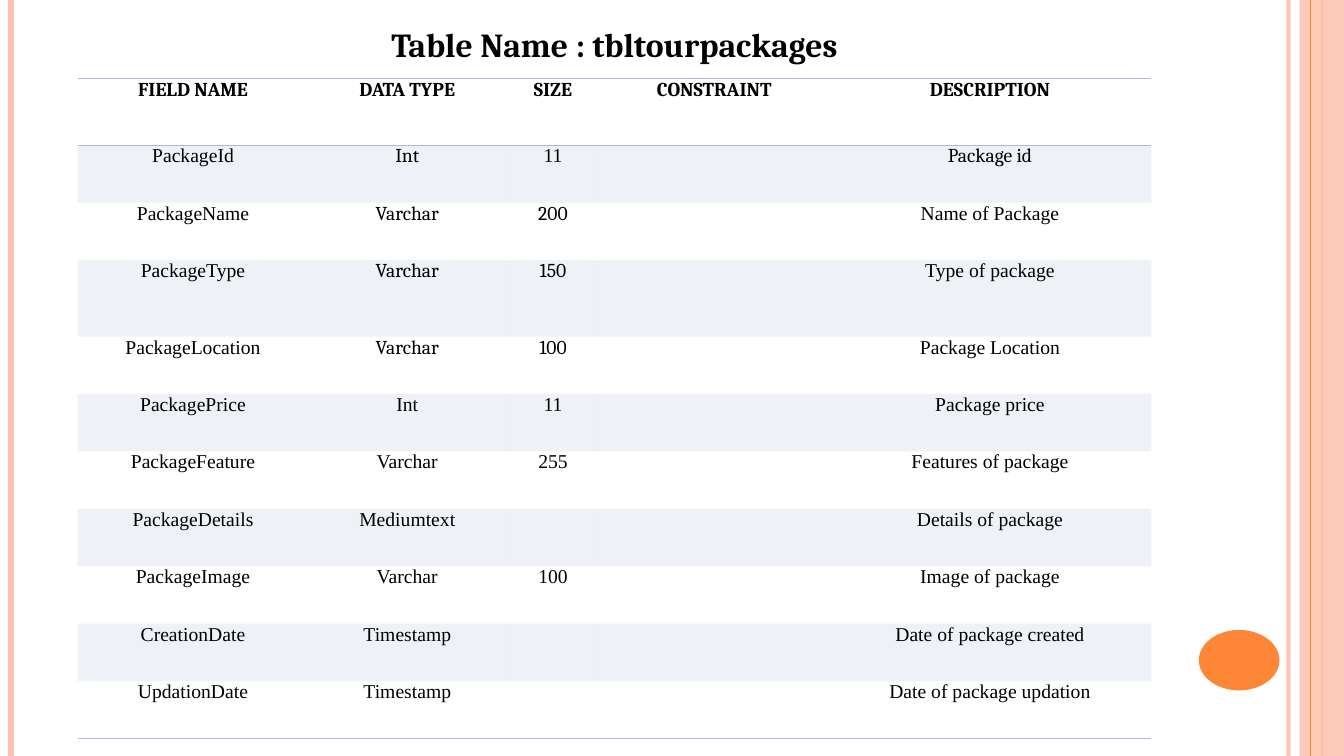
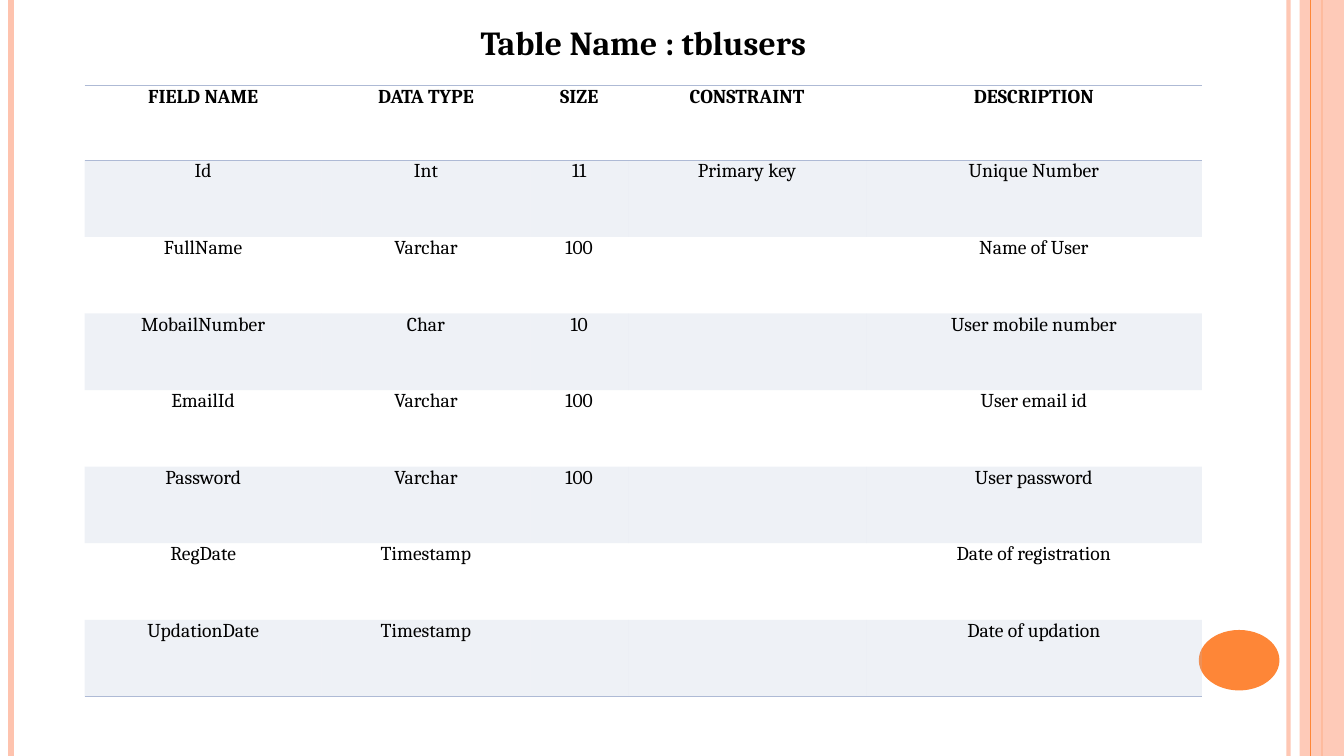
from dataclasses import dataclass, field
from itertools import product
from typing import NamedTuple

from lxml import etree
from pptx import Presentation
from pptx.dml.color import RGBColor
from pptx.enum.shapes import MSO_CONNECTOR, MSO_SHAPE
from pptx.enum.text import MSO_ANCHOR, MSO_AUTO_SIZE, PP_ALIGN
from pptx.oxml.ns import qn
from pptx.util import Inches, Pt

STRAIGHT = MSO_CONNECTOR.STRAIGHT
RECT, OVAL = MSO_SHAPE.RECTANGLE, MSO_SHAPE.OVAL
CENTER, TOP = PP_ALIGN.CENTER, MSO_ANCHOR.TOP
GROW = MSO_AUTO_SIZE.SHAPE_TO_FIT_TEXT

SLIDE_W, SLIDE_H = 13.33, 7.5
PEACH, ORANGE, STEEL, BLACK = "FEC3AE", "FE8637", "AEBAD5", "000000"
SERIF, TIMES = "Cambria", "Times New Roman"
PLAIN_TABLE = "{2D5ABB26-0587-4C30-8999-92F81FD0307C}"
CELL_INSET = 0.07
TITLE_H = 0.5
HEADER = ("FIELD NAME", "DATA TYPE", "SIZE", "CONSTRAINT", "DESCRIPTION")


class Rail(NamedTuple):
    x: float
    color: str
    width: float
    alpha: int = 100


class Panel(NamedTuple):
    kind: MSO_SHAPE
    box: tuple[float, float, float, float]
    color: str
    alpha: int = 100


DECOR = (
    Rail(12.78, PEACH, 3, 93),
    Rail(0.11, PEACH, 4.5),
    Rail(13.11, ORANGE, 1.5),
    Panel(RECT, (12.89, 0, 0.44, SLIDE_H), PEACH, 87),
    Rail(13, ORANGE, 0.75),
    Panel(OVAL, (11.89, 6.25, 0.8, 0.6), ORANGE),
)


@dataclass
class Schema:
    title: str
    title_top: float
    title_w: float
    left: float
    top: float
    cols: tuple[float, ...]
    header_h: float
    row_h: float
    rows: tuple[tuple[str, ...], ...]
    font: str = SERIF
    serif_cells: set[tuple[int, int]] = field(default_factory=set)
    tall_rows: dict[int, float] = field(default_factory=dict)


SCHEMAS = (
    Schema(
        "Table Name : tbltourpackages", 0.19, 6.87, 0.77, 0.78,
        (2.29, 1.96, 0.93, 2.27, 3.2), 0.66, 0.57,
        (
            ("PackageId", "Int", "11", "", "Package id"),
            ("PackageName", "Varchar", "200", "", "Name of Package"),
            ("PackageType", "Varchar", "150", "", "Type of package"),
            ("PackageLocation", "Varchar", "100", "", "Package Location"),
            ("PackagePrice", "Int", "11", "", "Package price"),
            ("PackageFeature", "Varchar", "255", "", "Features of package"),
            ("PackageDetails", "Mediumtext", "", "", "Details of package"),
            ("PackageImage", "Varchar", "100", "", "Image of package"),
            ("CreationDate", "Timestamp", "", "", "Date of package created"),
            ("UpdationDate", "Timestamp", "", "", "Date of package updation"),
        ),
        font=TIMES,
        serif_cells={(1, 1), (1, 4), *product((2, 3, 4), (1, 2))},
        tall_rows={3: 0.76},
    ),
    Schema(
        "Table Name : tblusers", 0.17, 5.55, 0.84, 0.85,
        (2.35, 2.07, 0.97, 2.36, 3.33), 0.74, 0.76,
        (
            ("Id", "Int", "11", "Primary key", "Unique Number"),
            ("FullName", "Varchar", "100", "", "Name of User"),
            ("MobailNumber", "Char", "10", "", "User mobile number"),
            ("EmailId", "Varchar", "100", "", "User email id"),
            ("Password", "Varchar", "100", "", "User password"),
            ("RegDate", "Timestamp", "", "", "Date of registration"),
            ("UpdationDate", "Timestamp", "", "", "Date of updation"),
        ),
    ),
)


def rgb(color: str) -> RGBColor:
    return RGBColor.from_string(color)


def paint(fill, color: str, alpha: int = 100) -> None:
    fill.solid()
    fill.fore_color.rgb = rgb(color)
    if alpha < 100:
        clr = fill._xPr.find(qn("a:solidFill"))[0]
        etree.SubElement(clr, qn("a:alpha"), val=str(alpha * 1000))


def write(tf, text: str, *, size: float, font: str = SERIF, bold: bool = False) -> None:
    p = tf.paragraphs[0]
    p.alignment = CENTER
    r = p.add_run()
    r.text = text
    r.font.name, r.font.size, r.font.bold = font, Pt(size), bold
    r.font.color.rgb = rgb(BLACK)


def add_rail(s, rail: Rail) -> None:
    x = Inches(rail.x)
    line = s.shapes.add_connector(STRAIGHT, x, 0, x, Inches(SLIDE_H))
    line.line.width = Pt(rail.width)
    paint(line.line.fill, rail.color, rail.alpha)
    etree.SubElement(line._element.spPr, qn("a:effectLst"))


def add_panel(s, panel: Panel) -> None:
    sp = s.shapes.add_shape(panel.kind, *map(Inches, panel.box))
    sp.shadow.inherit = False
    sp.line.fill.background()
    paint(sp.fill, panel.color, panel.alpha)


def add_decor(s) -> None:
    for item in DECOR:
        if isinstance(item, Rail):
            add_rail(s, item)
        else:
            add_panel(s, item)


def add_title(s, schema: Schema) -> None:
    left = schema.left + (sum(schema.cols) - schema.title_w) / 2
    box = (left, schema.title_top, schema.title_w, TITLE_H)
    tf = s.shapes.add_textbox(*map(Inches, box)).text_frame
    tf.word_wrap = True
    tf.auto_size = GROW
    write(tf, schema.title, size=24, bold=True)


def add_border(cell, side: str) -> None:
    tc_pr = cell._tc.get_or_add_tcPr()
    ln = etree.SubElement(tc_pr, qn(f"a:ln{side}"), w=str(Pt(1)))
    solid = etree.SubElement(ln, qn("a:solidFill"))
    etree.SubElement(solid, qn("a:srgbClr"), val=STEEL)


def add_schema_table(s, schema: Schema) -> None:
    data = (HEADER, *schema.rows)
    last = len(data) - 1
    heights = [schema.header_h] + [
        schema.tall_rows.get(i, schema.row_h) for i in range(1, len(data))
    ]
    box = (schema.left, schema.top, sum(schema.cols), sum(heights))
    table = s.shapes.add_table(len(data), len(HEADER), *map(Inches, box)).table
    table.first_row = table.horz_banding = False
    table._tbl.tblPr.find(qn("a:tableStyleId")).text = PLAIN_TABLE
    for col, width in zip(table.columns, schema.cols):
        col.width = Inches(width)
    for row, height in zip(table.rows, heights):
        row.height = Inches(height)

    for i, values in enumerate(data):
        sides = "TB" if i == 0 else "B" if i == last else ""
        for j, text in enumerate(values):
            cell = table.cell(i, j)
            cell.margin_left = cell.margin_right = Inches(CELL_INSET)
            cell.margin_top = cell.margin_bottom = 0
            cell.vertical_anchor = TOP
            for side in sides:
                add_border(cell, side)
            if i % 2:
                paint(cell.fill, STEEL, 20)
            else:
                cell.fill.background()
            if text:
                serif = i == 0 or (i, j) in schema.serif_cells
                write(cell.text_frame, text, size=14, bold=i == 0,
                      font=SERIF if serif else schema.font)


def main() -> None:
    prs = Presentation()
    prs.slide_width, prs.slide_height = Inches(SLIDE_W), Inches(SLIDE_H)
    for schema in SCHEMAS:
        s = prs.slides.add_slide(prs.slide_layouts[6])
        add_decor(s)
        add_title(s, schema)
        add_schema_table(s, schema)
    prs.save("out.pptx")


if __name__ == "__main__":
    main()
